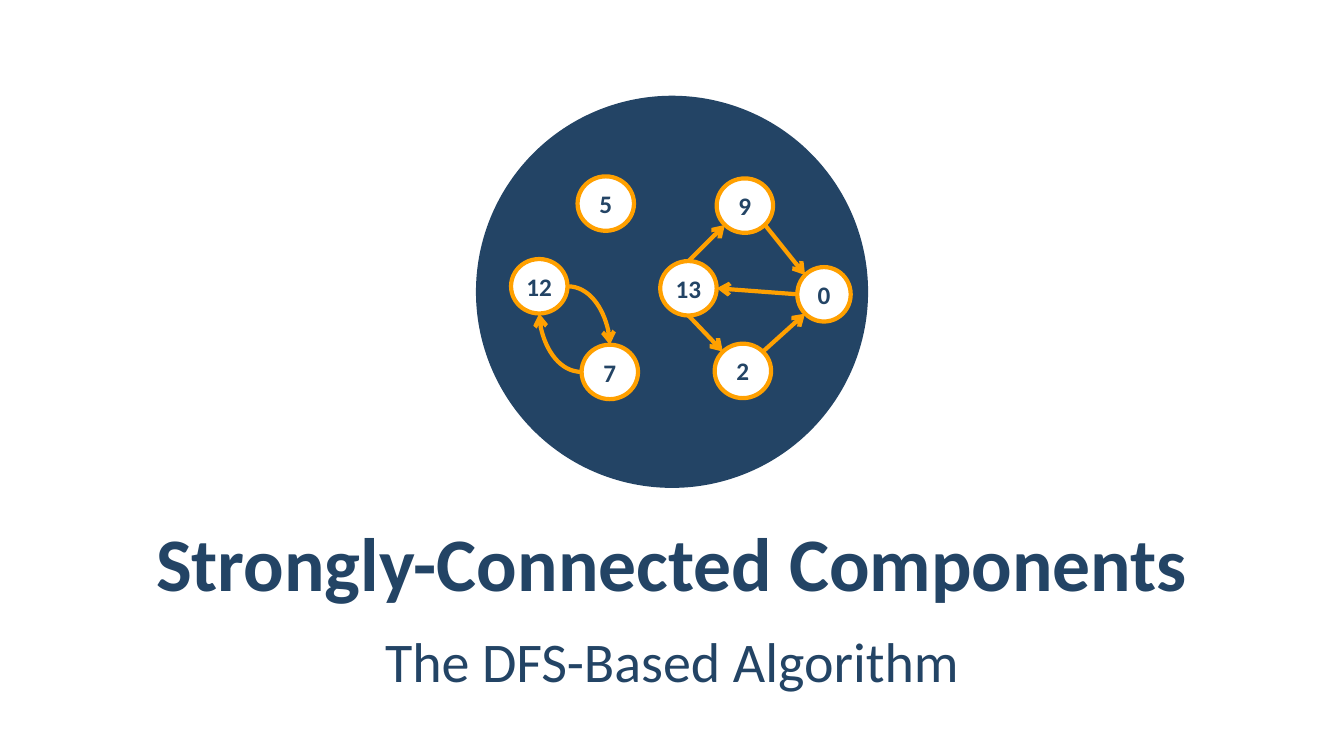
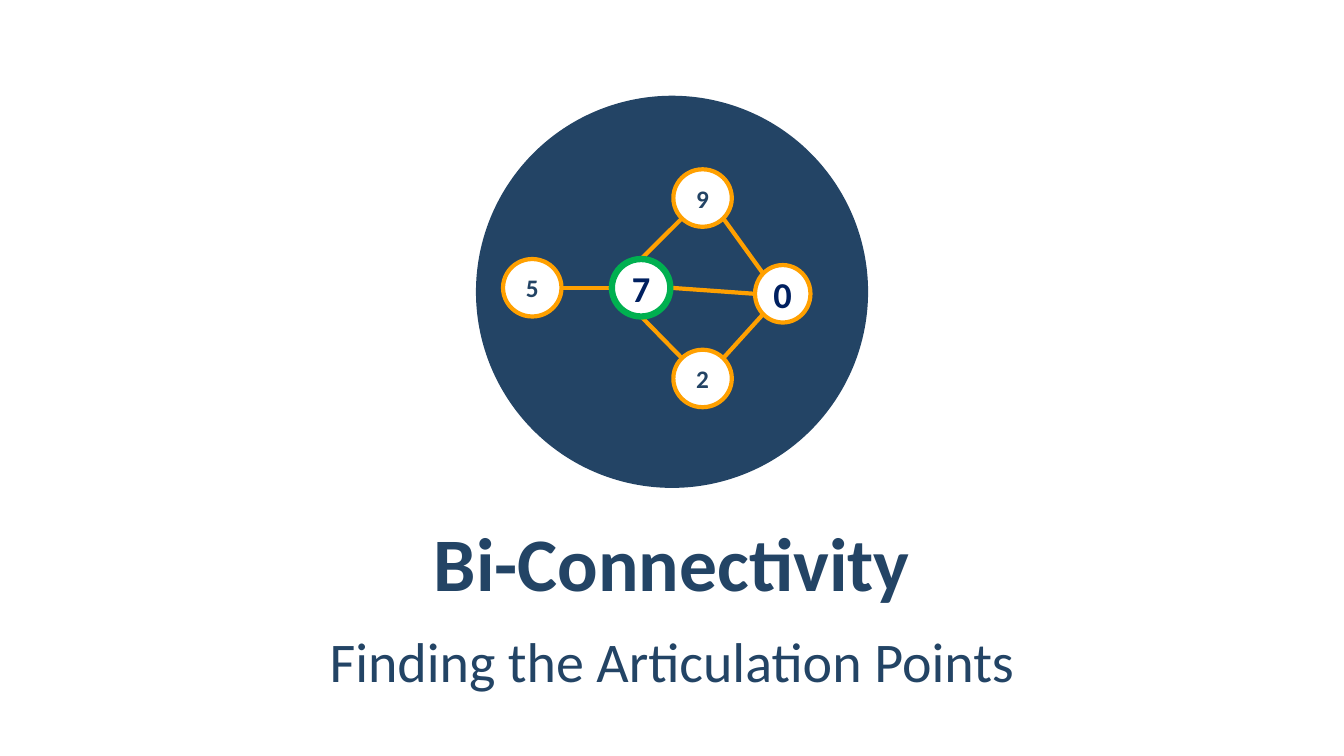
from dataclasses import dataclass
from enum import IntEnum

from lxml import etree
from pptx import Presentation
from pptx import util as u
from pptx.dml.color import RGBColor
from pptx.enum import shapes, text
from pptx.oxml.ns import qn

CELL = u.Inches(0.1)
COLUMNS, ROWS = 133.33, 75
FONT = "Calibri"
NAVY, DEEP_NAVY, ORANGE, GREEN, WHITE = "234465", "002060", "FFA000", "00B050", "FFFFFF"
DISC_ROW, DISC_SIZE = 28.95, 38.9
LEFT_MARGIN, TEXT_HEIGHT, TITLE_TOP, SUBTITLE_TOP = 6.7, 8.4, 51.5, 61.1


class Site(IntEnum):
    """Connection sites of an ellipse, counter-clockwise from the top."""
    TOP = 0
    TOP_LEFT = 1
    LEFT = 2
    BOTTOM_LEFT = 3
    BOTTOM = 4
    BOTTOM_RIGHT = 5
    RIGHT = 6
    TOP_RIGHT = 7


DIAGONAL = 0.71
SITE_OFFSETS = {
    Site.TOP: (0, -1), Site.TOP_LEFT: (-DIAGONAL, -DIAGONAL),
    Site.LEFT: (-1, 0), Site.BOTTOM_LEFT: (-DIAGONAL, DIAGONAL),
    Site.BOTTOM: (0, 1), Site.BOTTOM_RIGHT: (DIAGONAL, DIAGONAL),
    Site.RIGHT: (1, 0), Site.TOP_RIGHT: (DIAGONAL, -DIAGONAL),
}


@dataclass(frozen=True)
class Node:
    """A numbered vertex; column and row give its centre."""
    label: str
    column: float
    row: float
    width: float
    height: float
    outline: str = ORANGE
    weight: float = 3
    size: float = 18
    color: str = NAVY


@dataclass(frozen=True)
class Edge:
    start: str
    start_site: Site
    end: str
    end_site: Site
    curved: bool = False


@dataclass(frozen=True)
class Section:
    title: str
    subtitle: str
    nodes: list[Node]
    edges: list[Edge]
    directed: bool


STRONG = {"width": 5.6, "height": 5.4}
BI = {"width": 5.8, "height": 5.7}
LARGE = {"size": 26, "color": DEEP_NAVY}

SECTIONS = [
    Section(
        "Strongly-Connected Components", "The DFS-Based Algorithm",
        [
            Node("2", 73.7, 36.8, **STRONG),
            Node("9", 73.9, 20.4, **STRONG),
            Node("5", 60.1, 20.2, **STRONG),
            Node("13", 68.3, 28.6, **STRONG),
            Node("0", 81.75, 29.2, 5.3, 5.4),
            Node("7", 60.5, 36.9, **STRONG),
            Node("12", 53.5, 28.4, **STRONG),
        ],
        [
            Edge("0", Site.LEFT, "13", Site.RIGHT),
            Edge("9", Site.BOTTOM_RIGHT, "0", Site.TOP_LEFT),
            Edge("2", Site.TOP_RIGHT, "0", Site.BOTTOM_LEFT),
            Edge("13", Site.TOP, "9", Site.BOTTOM_LEFT),
            Edge("13", Site.BOTTOM, "2", Site.TOP_LEFT),
            Edge("7", Site.LEFT, "12", Site.BOTTOM, curved=True),
            Edge("12", Site.RIGHT, "7", Site.TOP, curved=True),
        ],
        directed=True,
    ),
    Section(
        "Bi-Connectivity", "Finding the Articulation Points",
        [
            Node("2", 69.7, 37.55, **BI),
            Node("9", 69.7, 19.65, **BI),
            Node("5", 52.8, 28.55, **BI),
            Node("7", 63.6, 28.55, **BI, outline=GREEN, weight=4.5, **LARGE),
            Node("0", 77.65, 29.15, 5.5, 5.7, **LARGE),
        ],
        [
            Edge("0", Site.LEFT, "7", Site.RIGHT),
            Edge("0", Site.TOP_LEFT, "9", Site.BOTTOM_RIGHT),
            Edge("0", Site.BOTTOM_LEFT, "2", Site.TOP_RIGHT),
            Edge("7", Site.TOP, "9", Site.BOTTOM_LEFT),
            Edge("7", Site.BOTTOM, "2", Site.TOP_LEFT),
            Edge("5", Site.RIGHT, "7", Site.LEFT),
        ],
        directed=False,
    ),
]


def cells(count: float) -> int:
    return round(count * CELL)


def paint(color_format, color: str) -> None:
    color_format.rgb = RGBColor.from_string(color)


def write(shape, words: str, *, size: float, color: str = NAVY, bold: bool = False,
          side: float = 0.04, top: float = 0.05, line_spacing: float | None = None,
          gap: float = 0) -> None:
    frame = shape.text_frame
    frame.word_wrap = True
    frame.auto_size = text.MSO_AUTO_SIZE.NONE
    frame.vertical_anchor = text.MSO_ANCHOR.MIDDLE
    frame.margin_left = frame.margin_right = u.Inches(side)
    frame.margin_top = frame.margin_bottom = u.Inches(top)
    para = frame.paragraphs[0]
    para.alignment = text.PP_ALIGN.CENTER
    para.line_spacing = line_spacing
    para.space_before = para.space_after = u.Pt(gap)
    span = para.add_run()
    span.text = words
    span.font.name, span.font.size, span.font.bold = FONT, u.Pt(size), bold
    paint(span.font.color, color)


def add_ellipse(page, column: float, row: float, width: float, height: float, fill: str):
    """Draw a filled ellipse around a centre, without outline or shadow."""
    ellipse = page.shapes.add_shape(
        shapes.MSO_SHAPE.OVAL, cells(column - width / 2), cells(row - height / 2),
        cells(width), cells(height))
    ellipse.shadow.inherit = False
    ellipse.fill.solid()
    paint(ellipse.fill.fore_color, fill)
    ellipse.line.fill.background()
    return ellipse


def add_node(page, node: Node):
    circle = add_ellipse(page, node.column, node.row, node.width, node.height, WHITE)
    circle.line.width = u.Pt(node.weight)
    circle.line.fill.solid()
    paint(circle.line.fill.fore_color, node.outline)
    write(circle, node.label, size=node.size, color=node.color, bold=True)
    return circle


def site_point(circle, site: Site) -> tuple[int, int]:
    across, down = SITE_OFFSETS[site]
    return (round(circle.left + circle.width * (1 + across) / 2),
            round(circle.top + circle.height * (1 + down) / 2))


def add_edge(page, edge: Edge, circles: dict, directed: bool):
    """Join two circles at ellipse sites, which number eight instead of four."""
    start, end = circles[edge.start], circles[edge.end]
    kind = shapes.MSO_CONNECTOR.CURVE if edge.curved else shapes.MSO_CONNECTOR.STRAIGHT
    link = page.shapes.add_connector(
        kind, *site_point(start, edge.start_site), *site_point(end, edge.end_site))
    link.line.width = u.Pt(3)
    link.line.fill.solid()
    paint(link.line.fill.fore_color, ORANGE)
    properties = link.element.spPr
    if edge.curved:
        properties.find(qn("a:prstGeom")).set("prst", "curvedConnector2")
    if directed:
        etree.SubElement(properties.find(qn("a:ln")), qn("a:tailEnd"), type="arrow")
    etree.SubElement(properties, qn("a:effectLst"))
    joints = next(link.element.iter(qn("p:cNvCxnSpPr")))
    for tag, circle, site in (("a:stCxn", start, edge.start_site),
                              ("a:endCxn", end, edge.end_site)):
        etree.SubElement(joints, qn(tag), id=str(circle.shape_id), idx=str(int(site)))
    return link


def place_layout_text(layout) -> None:
    for holder, top in zip(layout.placeholders, (TITLE_TOP, SUBTITLE_TOP)):
        holder.left, holder.top = cells(LEFT_MARGIN), cells(top)
        holder.width, holder.height = cells(COLUMNS - 2 * LEFT_MARGIN), cells(TEXT_HEIGHT)


def add_layout_disc(page, layout) -> None:
    """Draw the disc and move it behind the layout's placeholders."""
    disc = add_ellipse(page, COLUMNS / 2, DISC_ROW, DISC_SIZE, DISC_SIZE, NAVY)
    layout.placeholders[0].element.addprevious(disc.element)


def fill_page(page, section: Section) -> None:
    write(page.shapes.title, section.title, size=54, bold=True, side=0.12, top=0.04)
    write(page.placeholders[1], section.subtitle, size=40, side=0.12, top=0.04,
          line_spacing=1.05, gap=6)
    circles = {node.label: add_node(page, node) for node in section.nodes}
    lowest = circles[section.nodes[0].label]
    for edge in section.edges:
        link = add_edge(page, edge, circles, section.directed)
        lowest.element.addprevious(link.element)


def main() -> None:
    deck = Presentation()
    deck.slide_width, deck.slide_height = cells(COLUMNS), cells(ROWS)
    layout = deck.slide_layouts[0]
    place_layout_text(layout)
    pages = [deck.slides.add_slide(layout) for _ in SECTIONS]
    add_layout_disc(pages[0], layout)
    for page, section in zip(pages, SECTIONS):
        fill_page(page, section)
    deck.save("out.pptx")


if __name__ == "__main__":
    main()
